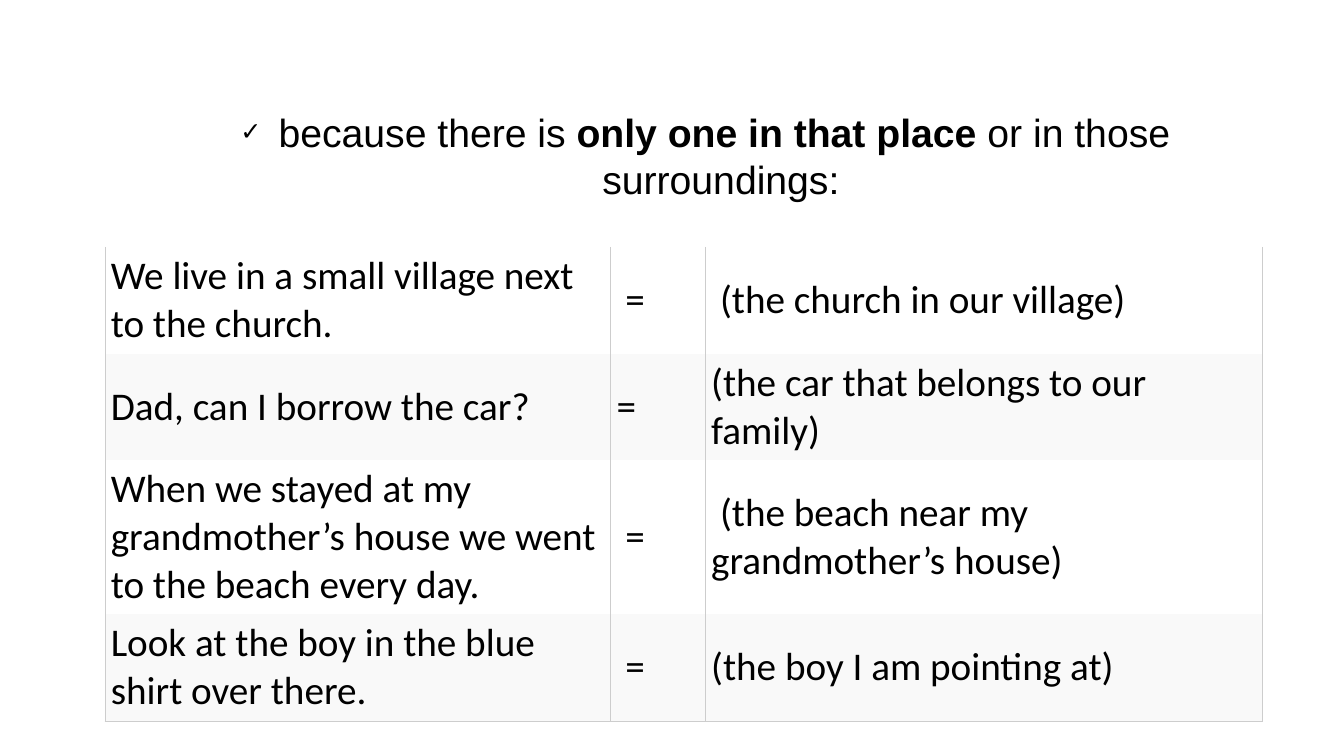
"""Build the slide on using "the" when there is only one in that place."""
from dataclasses import dataclass

from lxml import etree
from pptx import Presentation
from pptx import util as u
from pptx.dml.color import RGBColor
from pptx.enum import text
from pptx.oxml.ns import qn


@dataclass(frozen=True)
class Theme:
    ink: RGBColor = RGBColor(0, 0, 0)
    band: RGBColor = RGBColor(0xF9, 0xF9, 0xF9)
    rule: str = "CDCDCD"
    title_font: str = "Arial"
    table_font: str = "Calibri"
    body: u.Pt = u.Pt(28)
    small: u.Pt = u.Pt(18)
    rule_width: u.Pt = u.Pt(0.34)


theme = Theme()
deck = Presentation()
deck.slide_width, deck.slide_height = u.Inches(13.34), u.Inches(7.5)
page = deck.slides.add_slide(deck.slide_layouts[5])

title = page.shapes.title
title.left, title.top = u.Inches(1.47), u.Inches(1.02)
title.width, title.height = u.Inches(11.06), u.Inches(1.04)
frame = title.text_frame
frame.word_wrap = True
frame.auto_size = text.MSO_AUTO_SIZE.NONE
frame.vertical_anchor = text.MSO_ANCHOR.TOP
para = frame.paragraphs[0]
para.alignment = text.PP_ALIGN.CENTER
props = para._p.get_or_add_pPr()
props.set("marL", str(u.Inches(0.31)))
props.set("indent", str(u.Inches(-0.31)))
etree.SubElement(props, qn("a:buFont"), typeface=theme.title_font)
etree.SubElement(props, qn("a:buChar"), char="✓")
para.font.name = theme.title_font
para.font.color.rgb = theme.ink
for words, size, bold in [
    (" ", theme.small, False),
    ("because there is ", theme.body, False),
    ("only one in that place", theme.body, True),
    (" or in those surroundings:", theme.body, False),
]:
    span = para.add_run()
    span.text = words
    span.font.size, span.font.bold = size, bold

examples = [
    ("We live in a small village next to the church.", " =", " (the church in our village)"),
    ("Dad, can I borrow the car?", "=", "(the car that belongs to our family)"),
    ("When we stayed at my grandmother’s house we went to the beach every day.", " =",
     " (the beach near my grandmother’s house)"),
    ("Look at the boy in the blue shirt over there.", " =", "(the boy I am pointing at)"),
]
table = page.shapes.add_table(
    len(examples), 3, u.Inches(1.04), u.Inches(2.45), u.Inches(11.48), u.Inches(4.67)
).table
table.first_row = table.horz_banding = False
table._tbl.tblPr.find(qn("a:tableStyleId")).text = "{2D5ABB26-0587-4C30-8999-92F81FD0307C}"
for column, width in zip(table.columns, (5.02, 0.94, 5.53)):
    column.width = u.Inches(width)
for row, height in zip(table.rows, (1.06, 1.02, 1.53, 1.06)):
    row.height = u.Inches(height)

for row_index, example in enumerate(examples):
    for column_index, words in enumerate(example):
        cell = table.cell(row_index, column_index)
        cell.text = words
        cell.vertical_anchor = text.MSO_ANCHOR.MIDDLE
        cell.margin_left = cell.margin_right = u.Inches(0.06)
        cell.margin_top = cell.margin_bottom = u.Inches(0.05)
        font = cell.text_frame.paragraphs[0].font
        font.name, font.size = theme.table_font, theme.body
        font.color.rgb = theme.ink
        sides = ["a:lnL", "a:lnR"] + ["a:lnB"] * (example is examples[-1])
        for side in sides:
            border = etree.SubElement(cell._tc.get_or_add_tcPr(), qn(side), w=str(theme.rule_width))
            paint = etree.SubElement(border, qn("a:solidFill"))
            etree.SubElement(paint, qn("a:srgbClr"), val=theme.rule)
        if row_index % 2:
            cell.fill.solid()
            cell.fill.fore_color.rgb = theme.band
        else:
            cell.fill.background()

deck.save("out.pptx")
